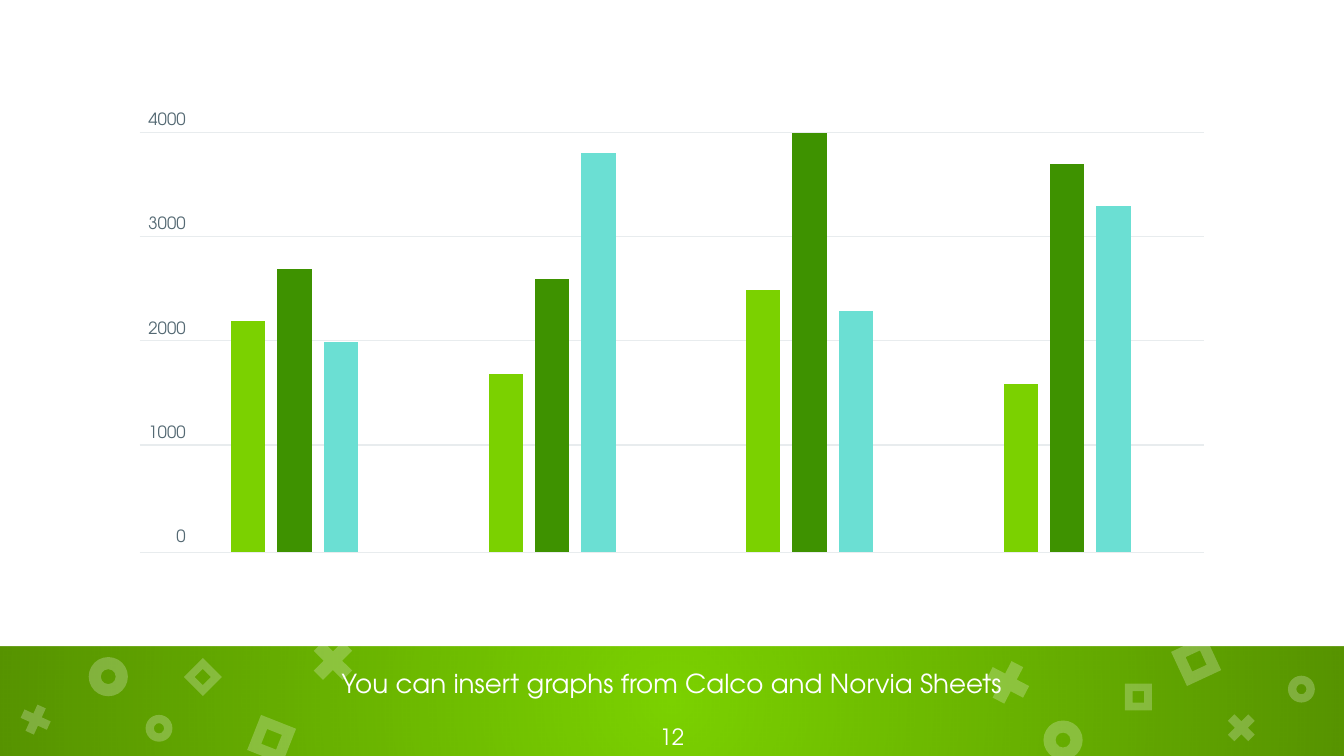
from lxml import etree
from pptx import Presentation
from pptx.chart.data import CategoryChartData
from pptx.dml.color import RGBColor
from pptx.enum.chart import XL_CHART_TYPE
from pptx.enum.shapes import MSO_CONNECTOR, MSO_SHAPE
from pptx.enum.text import MSO_ANCHOR, PP_ALIGN
from pptx.oxml import parse_xml
from pptx.oxml.ns import nsdecls, qn
from pptx.util import Pt

FONT = "TeX Gyre Adventor"
LIME, GREEN, AQUA = "7BD100", "3E9200", "6BDFD3"
WHITE, GRID, SLATE = "FFFFFF", "E8ECEE", "546973"

SERIES = [
    ("Series 1", LIME, (2200, 1700, 2500, 1600)),
    ("Series 2", GREEN, (2700, 2600, 4000, 3700)),
    ("Series 3", AQUA, (2000, 3800, 2300, 3300)),
]
AXIS_LABELS = ("4000", "3000", "2000", "1000", "0")
GRID_OFFSETS = (0, 55.7, 111.4, 167.4, 225)

RING, CROSS, FRAME = MSO_SHAPE.DONUT, MSO_SHAPE.MATH_MULTIPLY, MSO_SHAPE.FRAME
ADJUSTMENTS = {RING: 0.31, CROSS: 0.235, FRAME: 0.289}
# Preset, left and top within the band, size, rotation
ORNAMENTS = [
    (RING, 47.5, 5.8, 21, 0),
    (CROSS, 163.4, -7.2, 30, 0),
    (FRAME, 135.4, 39.8, 20.2, 21.6),
    (RING, 559, 39.8, 21, 0),
    (CROSS, 525, 4.4, 30, -17.5),
    (FRAME, 630.7, -2.2, 20.2, -25),
    (RING, 78, 36.8, 14.4, 0),
    (CROSS, 8.6, 28.8, 21, -20.4),
    (FRAME, 101.5, 9.3, 14.4, -45),
    (RING, 690, 15.8, 14.4, 0),
    (CROSS, 654.5, 33.2, 21, 0),
    (FRAME, 602.7, 20, 14.4, 0),
]


def color(value):
    return RGBColor.from_string(value)


def format_paragraph(paragraph, size, text_color, alignment=PP_ALIGN.CENTER):
    paragraph.alignment = alignment
    paragraph.font.name = FONT
    paragraph.font.size = Pt(size)
    paragraph.font.color.rgb = color(text_color)


def place(shape, left, top, width, height):
    shape.left, shape.top = Pt(left), Pt(top)
    shape.width, shape.height = Pt(width), Pt(height)


def set_margins(text_frame, margin):
    text_frame.margin_left = text_frame.margin_right = Pt(margin)
    text_frame.margin_top = text_frame.margin_bottom = Pt(margin)


def add_filled_shape(slide, preset, left, top, width, height, fill, opacity=100):
    shape = slide.shapes.add_shape(preset, Pt(left), Pt(top), Pt(width), Pt(height))
    shape.shadow.inherit = False
    shape.line.fill.background()
    shape.fill.solid()
    shape.fill.fore_color.rgb = color(fill)
    if opacity < 100:
        srgb = next(shape._element.spPr.iter(qn("a:srgbClr")))
        etree.SubElement(srgb, qn("a:alpha")).set("val", str(opacity * 1000))
    return shape


def shade_radially(shape):
    """Darken the shape from a clear centre to 30% black at the ends."""
    properties = shape._element.spPr
    solid = properties.find(qn("a:solidFill"))
    stops = "".join(
        f'<a:gs pos="{position}"><a:srgbClr val="000000">'
        f'<a:alpha val="{alpha}"/></a:srgbClr></a:gs>'
        for position, alpha in ((0, 0), (100000, 30000))
    )
    properties.replace(solid, parse_xml(
        f'<a:gradFill {nsdecls("a")}><a:gsLst>{stops}</a:gsLst><a:path path="circle">'
        '<a:fillToRect l="50000" t="50000" r="50000" b="50000"/></a:path></a:gradFill>'
    ))


def add_band(slide, left, top, width, height):
    band = add_filled_shape(slide, MSO_SHAPE.RECTANGLE, left, top, width, height, "000000")
    shade_radially(band)
    add_filled_shape(slide, MSO_SHAPE.RECTANGLE, left, 0, width, top, WHITE)
    for preset, x, y, size, rotation in ORNAMENTS:
        ornament = add_filled_shape(slide, preset, left + x, top + y, size, size, WHITE, 24)
        ornament.adjustments[0] = ADJUSTMENTS[preset]
        ornament.rotation = rotation


def add_caption(slide, caption, number, left, top, width, height):
    body = slide.placeholders[1]
    # Bring the placeholder in front of the band
    slide.shapes._spTree.append(body._element)
    place(body, left + 101, top + 0.8, width - 202, 38)
    body.text_frame.text = caption
    body.text_frame.vertical_anchor = MSO_ANCHOR.MIDDLE
    set_margins(body.text_frame, 7.2)
    paragraph = body.text_frame.paragraphs[0]
    paragraph.space_before = Pt(3.6)
    format_paragraph(paragraph, 14, WHITE)

    number_box = slide.shapes.add_textbox(
        Pt(left + width / 2 - 21.6), Pt(top + height - 25), Pt(43.2), Pt(25))
    number_box.text_frame.word_wrap = True
    set_margins(number_box.text_frame, 7.2)
    number_box.text_frame.text = number
    format_paragraph(number_box.text_frame.paragraphs[0], 12, WHITE)


def add_axis(slide, left, top, width, height):
    for offset in GRID_OFFSETS:
        line = slide.shapes.add_connector(
            MSO_CONNECTOR.STRAIGHT,
            Pt(left), Pt(top + offset), Pt(left + width), Pt(top + offset))
        line.line.color.rgb = color(GRID)
        line.line.width = Pt(0.75)
        etree.SubElement(line._element.spPr, qn("a:effectLst"))

    labels = slide.shapes.add_textbox(Pt(left), Pt(top - 12.7), Pt(24.5), Pt(height + 13))
    text_frame = labels.text_frame
    text_frame.word_wrap = True
    set_margins(text_frame, 0)
    text_frame.text = "\n".join(AXIS_LABELS)
    for index, paragraph in enumerate(text_frame.paragraphs):
        format_paragraph(paragraph, 9, SLATE, PP_ALIGN.RIGHT)
        if index:
            paragraph.space_before = Pt(45)


def add_bars(slide, left, top, width, height):
    data = CategoryChartData()
    data.categories = ["1", "2", "3", "4"]
    for name, _, values in SERIES:
        data.add_series(name, values)
    chart = slide.shapes.add_chart(
        XL_CHART_TYPE.COLUMN_CLUSTERED, Pt(left), Pt(top), Pt(width), Pt(height), data).chart
    chart.has_legend = chart.has_title = False
    chart.font.name, chart.font.size = FONT, Pt(9)
    chart.font.color.rgb = color(SLATE)
    chart.value_axis.minimum_scale, chart.value_axis.maximum_scale = 0, 4000
    chart.value_axis.has_major_gridlines = False
    chart.value_axis.visible = chart.category_axis.visible = False

    plot = chart.plots[0]
    plot.vary_by_categories = False
    plot.gap_width, plot.overlap = 380, -35
    for series, (_, fill, _) in zip(plot.series, SERIES):
        series.format.fill.solid()
        series.format.fill.fore_color.rgb = color(fill)

    # Let the plot fill the whole chart frame
    plot_area = chart._chartSpace.chart.plotArea
    for layout in plot_area.findall(qn("c:layout")):
        plot_area.remove(layout)
    plot_area.insert(0, parse_xml(
        f'<c:layout {nsdecls("c")}><c:manualLayout><c:layoutTarget val="inner"/>'
        '<c:xMode val="edge"/><c:yMode val="edge"/><c:x val="0"/><c:y val="0"/>'
        '<c:w val="1"/><c:h val="1"/></c:manualLayout></c:layout>'
    ))


def add_graph(slide, left, top, width, height):
    add_axis(slide, left, top, width, height)
    add_bars(slide, left + 13.8, top, width - 18, height)


def main():
    presentation = Presentation()
    presentation.slide_width, presentation.slide_height = Pt(720), Pt(405)
    slide = presentation.slides.add_slide(presentation.slide_layouts[2])
    title = slide.shapes.title._element
    title.getparent().remove(title)
    slide.background.fill.solid()
    slide.background.fill.fore_color.rgb = color(LIME)

    band_box = (0, 346.2, 720, 58.8)
    add_band(slide, *band_box)
    add_caption(slide, "You can insert graphs from Calco and Norvia Sheets", "12", *band_box)
    add_graph(slide, 75, 71, 570, 225)
    presentation.save("out.pptx")


if __name__ == "__main__":
    main()
